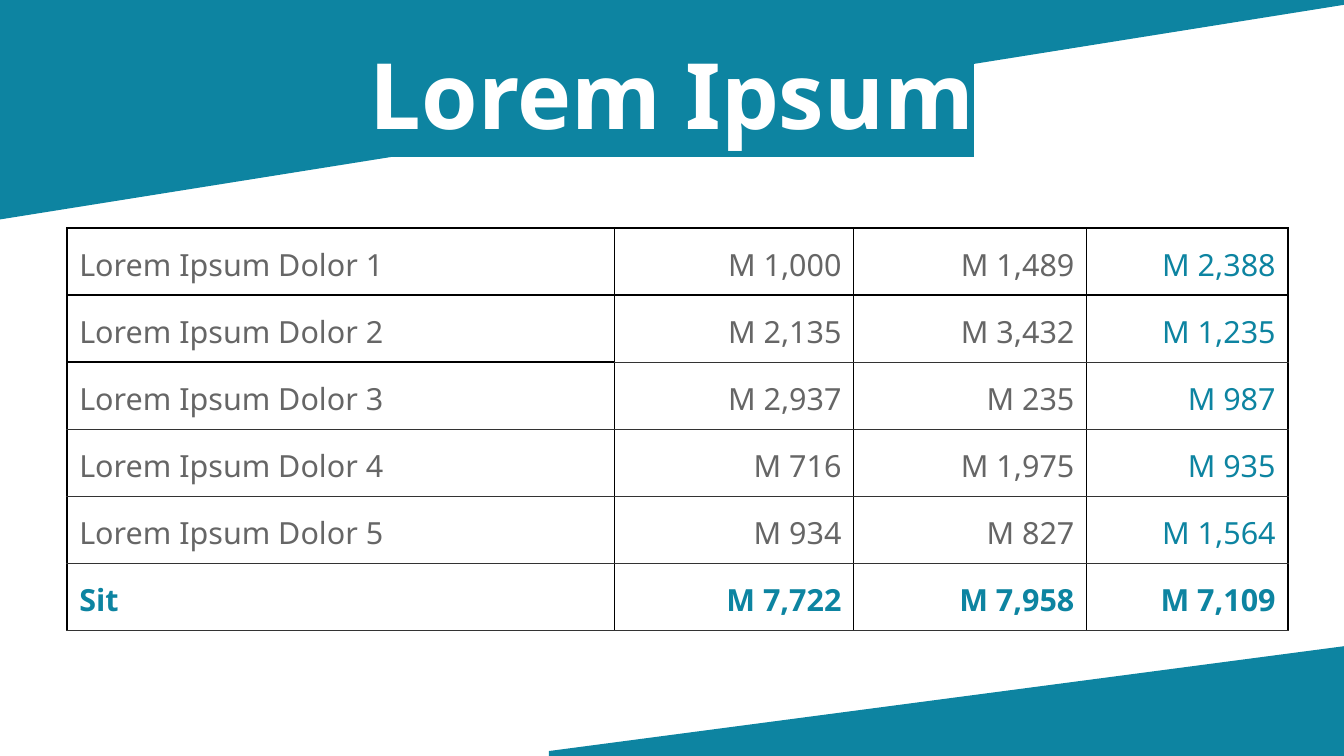
from lxml.etree import SubElement
from pptx import Presentation
from pptx.dml.color import RGBColor
from pptx.enum.text import MSO_ANCHOR, PP_ALIGN
from pptx.oxml.ns import qn
from pptx.util import Inches, Pt

TITLE = "Lorem Ipsum"
ROWS = [
    ("Lorem Ipsum Dolor 1", "M 1,000", "M 1,489", "M 2,388"),
    ("Lorem Ipsum Dolor 2", "M 2,135", "M 3,432", "M 1,235"),
    ("Lorem Ipsum Dolor 3", "M 2,937", "M 235", "M 987"),
    ("Lorem Ipsum Dolor 4", "M 716", "M 1,975", "M 935"),
    ("Lorem Ipsum Dolor 5", "M 934", "M 827", "M 1,564"),
    ("Sit", "M 7,722", "M 7,958", "M 7,109"),
]
WIDTHS = [4.49, 1.96, 1.91, 1.65]
ROW_H = 0.55
WIDE, HIGH = 11.02, 6.2
BANDS = [
    [(4.5, HIGH), (WIDE, HIGH), (WIDE, 5.3), (4.5, 6.16)],
    [(0, 0), (WIDE, 0), (WIDE, 0.04), (0, 1.8)],
]

FONT = "Noto Sans"
TEAL = RGBColor(0x0D, 0x84, 0xA1)
GRAY = RGBColor(0x66, 0x66, 0x66)
DARK = RGBColor(0x33, 0x33, 0x33)
BLACK = RGBColor(0, 0, 0)
WHITE = RGBColor(0xFF, 0xFF, 0xFF)
THICK = (BLACK, Pt(1))
THIN = (DARK, Pt(0.06))


def add_band(slide, points):
    corners = [(Inches(x), Inches(y)) for x, y in points]
    builder = slide.shapes.build_freeform(*corners[0])
    builder.add_line_segments(corners[1:], close=True)
    band = builder.convert_to_shape()
    band.shadow.inherit = False
    band.fill.solid()
    band.fill.fore_color.rgb = TEAL
    band.line.fill.background()


def style_run(run, size, color, bold):
    font = run.font
    font.name, font.size, font.bold = FONT, Pt(size), bold
    font.color.rgb = color


def add_title(slide):
    box = slide.shapes.add_textbox(
        Inches(0.55), Inches(0.25), Inches(9.92), Inches(1.03))
    frame = box.text_frame
    frame.text = TITLE
    frame.word_wrap = True
    frame.vertical_anchor = MSO_ANCHOR.MIDDLE
    frame.margin_left = frame.margin_right = 0
    frame.margin_top = frame.margin_bottom = 0
    para = frame.paragraphs[0]
    para.alignment = PP_ALIGN.CENTER
    run = para.runs[0]
    style_run(run, 54, WHITE, True)
    props = run.font._element
    mark = SubElement(props, qn("a:highlight"))
    SubElement(mark, qn("a:srgbClr"), val=str(TEAL))
    props.find(qn("a:solidFill")).addnext(mark)


def set_borders(cell, top, bottom):
    """Put the four border lines ahead of the cell's fill."""
    props = cell._tc.get_or_add_tcPr()
    sides = {"L": THICK, "R": THICK, "T": top, "B": bottom}
    for place, (side, (color, width)) in enumerate(sides.items()):
        line = SubElement(props, qn("a:ln" + side), w=str(int(width)))
        fill = SubElement(line, qn("a:solidFill"))
        SubElement(fill, qn("a:srgbClr"), val=str(color))
        props.insert(place, line)


def rule(edge, col):
    """Line for a row edge, counted from the top of the table."""
    return THICK if edge < 2 or (edge == 2 and col == 0) else THIN


def add_table(slide):
    table = slide.shapes.add_table(
        len(ROWS), len(WIDTHS), Inches(0.55), Inches(1.87),
        Inches(sum(WIDTHS)), Inches(ROW_H * len(ROWS))).table
    table.first_row = table.horz_banding = False
    for column, width in zip(table.columns, WIDTHS):
        column.width = Inches(width)
    for r, values in enumerate(ROWS):
        table.rows[r].height = Inches(ROW_H)
        total = r == len(ROWS) - 1
        for c, value in enumerate(values):
            cell = table.cell(r, c)
            cell.text_frame.text = value
            cell.vertical_anchor = MSO_ANCHOR.MIDDLE
            cell.fill.solid()
            cell.fill.fore_color.rgb = WHITE
            para = cell.text_frame.paragraphs[0]
            para.alignment = PP_ALIGN.RIGHT if c else PP_ALIGN.LEFT
            para.line_spacing = 1.15
            color = TEAL if total or c == len(WIDTHS) - 1 else GRAY
            style_run(para.runs[0], 18, color, total)
            set_borders(cell, rule(r, c), rule(r + 1, c))


def main():
    deck = Presentation()
    deck.slide_width, deck.slide_height = Inches(WIDE), Inches(HIGH)
    slide = deck.slides.add_slide(deck.slide_layouts[6])
    for points in BANDS:
        add_band(slide, points)
    add_table(slide)
    add_title(slide)
    deck.save("out.pptx")


if __name__ == "__main__":
    main()
